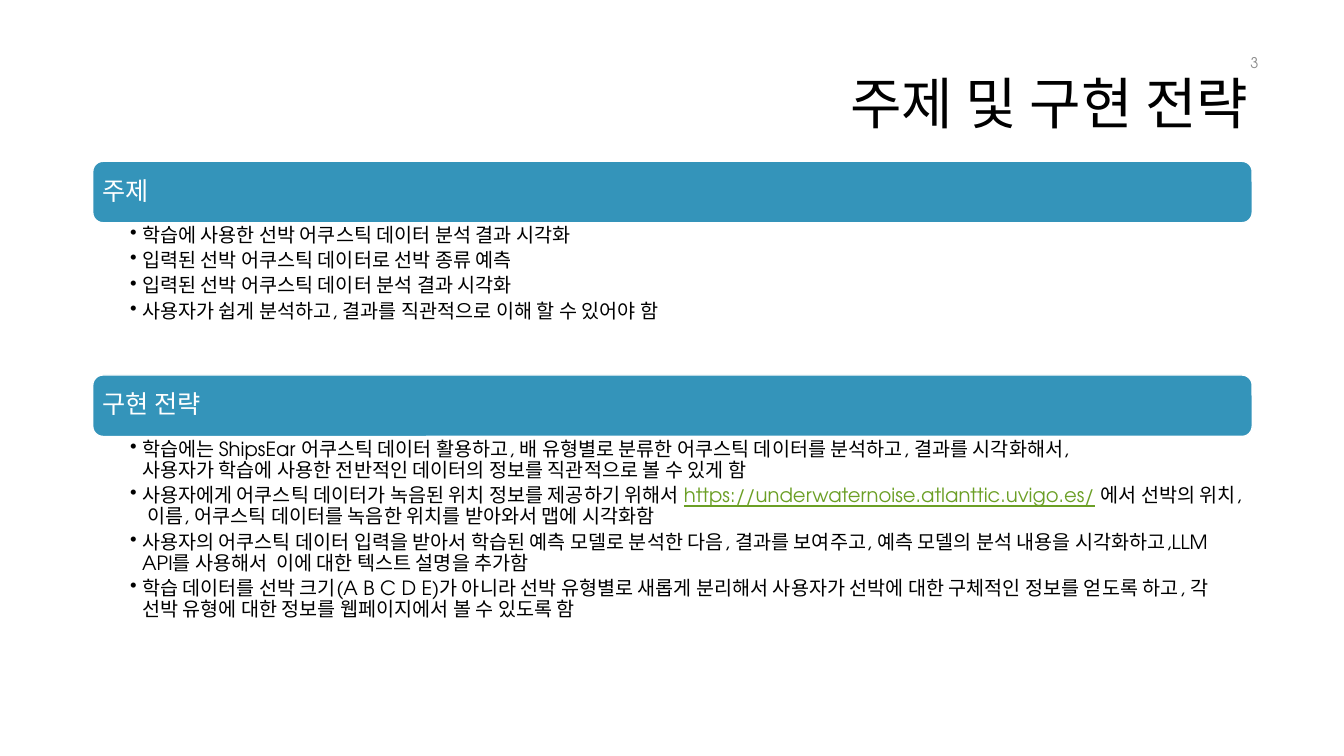
from dataclasses import dataclass

from lxml.etree import SubElement
from pptx import Presentation
from pptx.dml.color import RGBColor
from pptx.enum.shapes import MSO_SHAPE
from pptx.enum.text import MSO_ANCHOR, PP_ALIGN
from pptx.oxml.ns import qn
from pptx.util import Inches, Pt


@dataclass(frozen=True)
class Theme:
    face: str = "TeX Gyre Adventor"
    black: str = "000000"
    white: str = "FFFFFF"
    blue: str = "3494BA"
    green: str = "6B9F25"
    gray: str = "8C8C8C"
    title: float = 40
    head: float = 18
    body: float = 14
    note: float = 10.5


class Page:
    def __init__(self, deck, theme):
        self.theme = theme
        self.slide = deck.slides.add_slide(deck.slide_layouts[6])

    def frame(self, shape, pads, anchor):
        frame = shape.text_frame
        frame.word_wrap = True
        frame.vertical_anchor = anchor
        left, top, right, base = (Inches(pad) for pad in pads)
        frame.margin_left, frame.margin_top = left, top
        frame.margin_right, frame.margin_bottom = right, base
        return frame

    def style(self, para, size, color, space=0.9):
        para.line_spacing = space
        font = para.font
        font.name = self.theme.face
        font.size = Pt(size)
        font.color.rgb = RGBColor.from_string(color)

    def label(self, text, box, size, color, space):
        shape = self.slide.shapes.add_textbox(*map(Inches, box))
        frame = self.frame(shape, (0.1, 0.05, 0.1, 0.05), MSO_ANCHOR.MIDDLE)
        para = frame.paragraphs[0]
        para.text = text
        para.alignment = PP_ALIGN.RIGHT
        self.style(para, size, color, space)

    def bar(self, text, box):
        theme = self.theme
        shape = self.slide.shapes.add_shape(
            MSO_SHAPE.ROUNDED_RECTANGLE, *map(Inches, box))
        shape.shadow.inherit = False
        shape.fill.solid()
        shape.fill.fore_color.rgb = RGBColor.from_string(theme.blue)
        shape.line.color.rgb = RGBColor.from_string(theme.white)
        shape.line.width = Pt(1)
        frame = self.frame(shape, (0.07, 0.07, 0.07, 0.07), MSO_ANCHOR.MIDDLE)
        para = frame.paragraphs[0]
        para.text = text
        para.alignment = PP_ALIGN.LEFT
        self.style(para, theme.head, theme.white)

    def points(self, items, box):
        theme = self.theme
        shape = self.slide.shapes.add_textbox(*map(Inches, box))
        frame = self.frame(shape, (0.37, 0.03, 0.14, 0.03), MSO_ANCHOR.TOP)
        for spot, item in enumerate(items):
            para = frame.add_paragraph() if spot else frame.paragraphs[0]
            para.level = 1
            para.space_after = Pt(2.8)
            props = para._p.get_or_add_pPr()
            props.set("marL", str(Inches(0.12)))
            props.set("indent", str(Inches(-0.12)))
            SubElement(props, qn("a:buChar")).set("char", "•")
            self.style(para, theme.body, theme.black)
            if isinstance(item, str):
                para.text = item
                continue
            for part in item:
                run = para.add_run()
                run.text = part
                if part.startswith("https"):
                    run.font.color.rgb = RGBColor.from_string(theme.green)
                    run.font.underline = True


GOALS = [
    "학습에 사용한 선박 어쿠스틱 데이터 분석 결과 시각화",
    "입력된 선박 어쿠스틱 데이터로 선박 종류 예측",
    "입력된 선박 어쿠스틱 데이터 분석 결과 시각화",
    "사용자가 쉽게 분석하고, 결과를 직관적으로 이해 할 수 있어야 함",
]
PLANS = [
    "학습에는 ShipsEar 어쿠스틱 데이터 활용하고, 배 유형별로 분류한 어쿠스틱 데이터를 "
    "분석하고, 결과를 시각화해서,\v사용자가 학습에 사용한 전반적인 데이터의 정보를 "
    "직관적으로 볼 수 있게 함",
    ("사용자에게 어쿠스틱 데이터가 녹음된 위치 정보를 제공하기 위해서 ",
     "https://underwaternoise.atlanttic.uvigo.es/",
     " 에서 선박의 위치, 이름, 어쿠스틱 데이터를 녹음한 위치를 받아와서 맵에 시각화함"),
    "사용자의 어쿠스틱 데이터 입력을 받아서 학습된 예측 모델로 분석한 다음, 결과를 보여주고, "
    "예측 모델의 분석 내용을 시각화하고,LLM API를 사용해서  이에 대한 텍스트 설명을 추가함",
    "학습 데이터를 선박 크기(A B C D E)가 아니라 선박 유형별로 새롭게 분리해서 사용자가 "
    "선박에 대한 구체적인 정보를 얻도록 하고, 각 선박 유형에 대한 정보를 웹페이지에서 "
    "볼 수 있도록 함",
]


def main():
    deck = Presentation()
    deck.slide_width, deck.slide_height = Inches(13.33), Inches(7.5)
    theme = Theme()
    page = Page(deck, theme)
    page.label("주제 및 구현 전략", (3.06, 0.35, 9.42, 1.41),
               theme.title, theme.black, 0.9)
    left, top, width, tall = 0.92, 1.6, 11.5, 0.61
    for head, items, deep in (("주제", GOALS, 1.51), ("구현 전략", PLANS, 2.69)):
        page.bar(head, (left, top, width, tall))
        page.points(items, (left, top + tall, width, deep))
        top += tall + deep
    page.label("3", (9.58, 0.42, 3, 0.4), theme.note, theme.gray, 1.0)
    deck.save("out.pptx")


if __name__ == "__main__":
    main()
